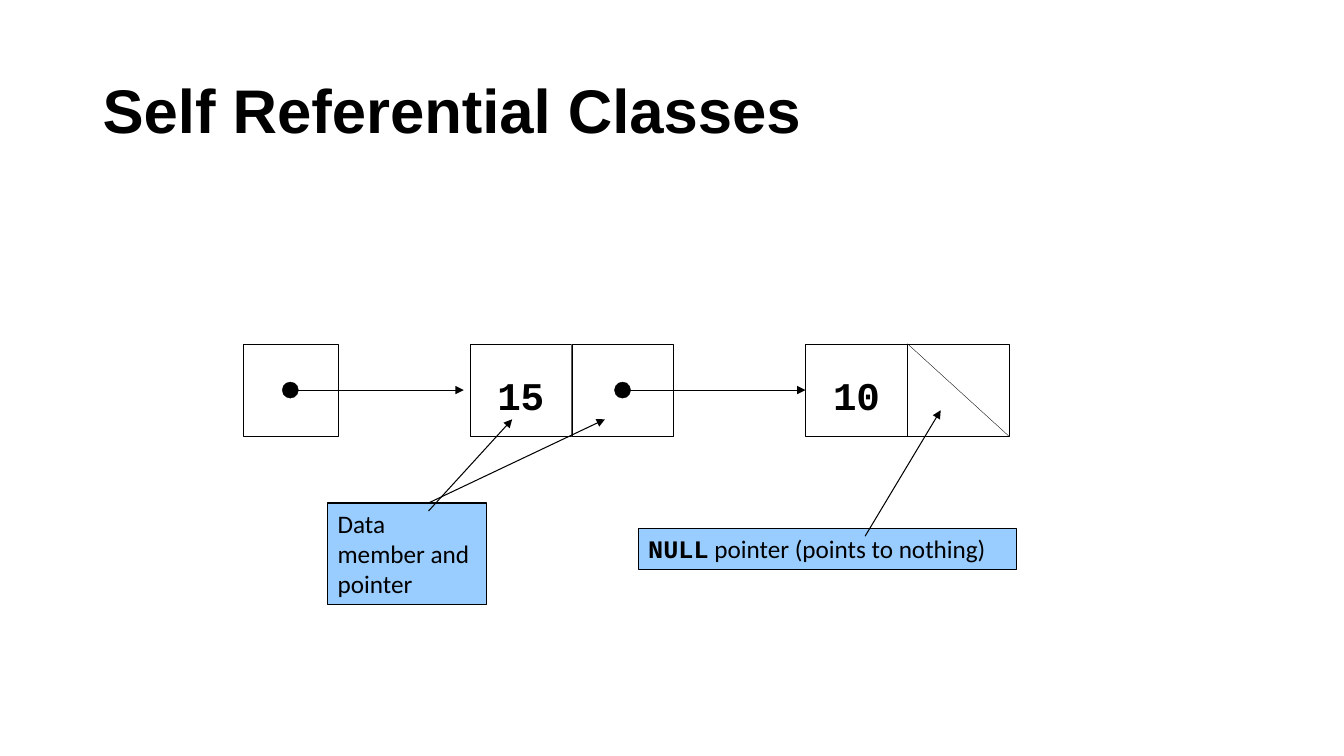
from lxml.etree import SubElement
from pptx import Presentation
from pptx.dml.color import RGBColor
from pptx.enum.shapes import MSO_CONNECTOR, MSO_SHAPE
from pptx.enum.text import MSO_ANCHOR, PP_ALIGN
from pptx.oxml.ns import qn
from pptx.util import Inches, Pt

BLACK, WHITE, LABEL_BLUE = "000000", "FFFFFF", "99CCFF"
ROW_TOP, CELL_WIDTH, CELL_HEIGHT = 3.41, 1.01, 0.92
THIN, MEDIUM = 0.25, 0.75


def color(hex_code):
    """Turn a hex string into a colour."""
    return RGBColor.from_string(hex_code)


def style_font(font, name, size, bold=False):
    """Set face, size and weight of black text."""
    font.name, font.size, font.bold = name, Pt(size), bold
    font.color.rgb = color(BLACK)


def add_outlined(slide, kind, box, fill, width=THIN):
    """Add a filled shape with a black outline."""
    shape = slide.shapes.add_shape(kind, *map(Inches, box))
    shape.shadow.inherit = False
    shape.fill.solid()
    shape.fill.fore_color.rgb = color(fill)
    shape.line.color.rgb = color(BLACK)
    shape.line.width = Pt(width)
    return shape


def add_line(slide, start, end, width=THIN, arrow=True):
    """Draw a straight black line, with an arrowhead at its end if asked."""
    line = slide.shapes.add_connector(
        MSO_CONNECTOR.STRAIGHT, *map(Inches, (*start, *end)))
    line.line.color.rgb = color(BLACK)
    line.line.width = Pt(width)
    if arrow:
        SubElement(line.line._get_or_add_ln(), qn("a:tailEnd"), type="triangle")
    SubElement(line._element.spPr, qn("a:effectLst"))


def add_title(slide, box, text):
    """Place the slide title."""
    frame = slide.shapes.add_textbox(*map(Inches, box)).text_frame
    frame.word_wrap = True
    frame.vertical_anchor = MSO_ANCHOR.MIDDLE
    title = frame.paragraphs[0]
    title.text = text
    title.line_spacing = 0.9
    style_font(title.font, "Arial", 44, True)


def add_cell(slide, left, width=CELL_WIDTH, value=""):
    """Draw one memory cell, with its value if it holds one."""
    cell = add_outlined(
        slide, MSO_SHAPE.RECTANGLE, (left, ROW_TOP, width, CELL_HEIGHT), WHITE)
    if value:
        frame = cell.text_frame
        frame.margin_top, frame.margin_bottom = Inches(0.1), 0
        frame.vertical_anchor = MSO_ANCHOR.MIDDLE
        number = frame.paragraphs[0]
        number.text = value
        number.alignment = PP_ALIGN.CENTER
        style_font(number.font, "Courier New", 28, True)


def add_pointer(slide, center, target, dot=0.16):
    """Draw a dot and an arrow from it to the target along the row."""
    middle = ROW_TOP + CELL_HEIGHT / 2
    add_outlined(slide, MSO_SHAPE.OVAL,
                 (center - dot / 2, middle - dot / 2, dot, dot), BLACK)
    add_line(slide, (center, middle), (target, middle))


def add_node(slide, left, value):
    """Draw a data cell and the link cell that follows it."""
    add_cell(slide, left, value=value)
    add_cell(slide, left + CELL_WIDTH)


def add_label(slide, box, runs, arrows):
    """Place a blue caption and the arrows that lead from it."""
    label = add_outlined(slide, MSO_SHAPE.RECTANGLE, box, LABEL_BLUE, MEDIUM)
    frame = label.text_frame
    frame.word_wrap = True
    frame.vertical_anchor = MSO_ANCHOR.TOP
    caption = frame.paragraphs[0]
    caption.alignment = PP_ALIGN.LEFT
    for text, face, bold in runs:
        run = caption.add_run()
        run.text = text
        style_font(run.font, face, 18, bold)
    for start, end in arrows:
        add_line(slide, start, end, MEDIUM)


def add_linked_list(slide, head, first, last):
    """Draw the head pointer, two linked nodes and the null mark."""
    head_width = 0.94
    add_cell(slide, head, head_width)
    add_node(slide, first, "15")
    add_node(slide, last, "10")
    add_pointer(slide, head + head_width / 2, first - 0.06)
    add_pointer(slide, first + CELL_WIDTH * 1.5, last)
    add_line(slide, (last + CELL_WIDTH, ROW_TOP),
             (last + 2 * CELL_WIDTH, ROW_TOP + CELL_HEIGHT), arrow=False)


def main():
    """Build and save the slide."""
    deck = Presentation()
    deck.slide_width, deck.slide_height = Inches(13.33), Inches(7.5)
    slide = deck.slides.add_slide(deck.slide_layouts[6])
    add_title(slide, (0.92, 0.4, 11.5, 1.45), "Self Referential Classes")
    add_linked_list(slide, 2.41, 4.66, 7.99)
    add_label(slide, (6.33, 5.24, 3.75, 0.41),
              [("NULL", "Courier New", True),
               (" pointer (points to nothing)", "Calibri", False)],
              [((8.58, 5.32), (9.33, 4.07))])
    add_label(slide, (3.25, 4.99, 1.58, 1.01),
              [("Data member and pointer", "Calibri", False)],
              [((4.25, 5.07), (5.08, 4.16)), ((4.25, 4.99), (6, 4.16))])
    deck.save("out.pptx")


if __name__ == "__main__":
    main()
